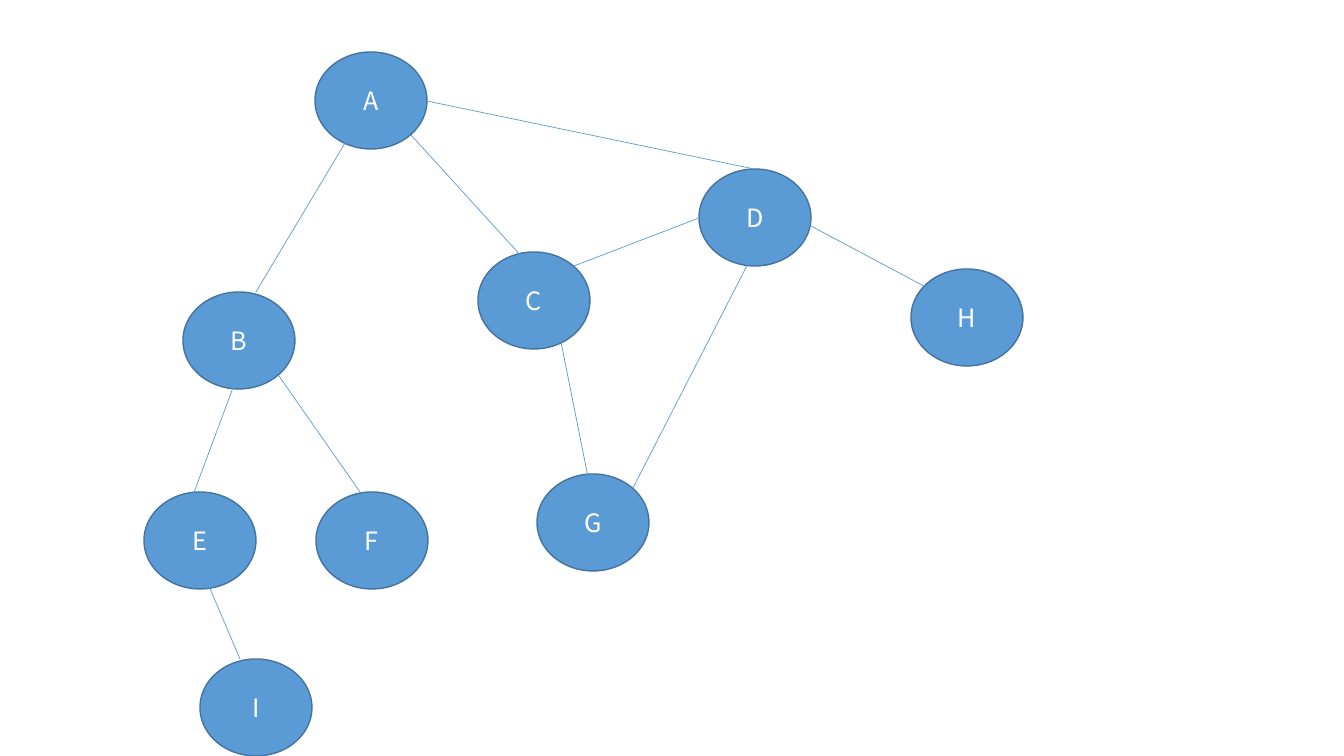
from lxml.etree import SubElement
from pptx import Presentation
from pptx.dml.color import RGBColor
from pptx.enum.shapes import MSO_CONNECTOR, MSO_SHAPE
from pptx.enum.text import MSO_ANCHOR, PP_ALIGN
from pptx.oxml.ns import qn
from pptx.util import Pt

NODE_BLUE = RGBColor(0x5B, 0x9B, 0xD5)
OUTLINE_BLUE = RGBColor(0x43, 0x73, 0x9E)
WHITE = RGBColor(0xFF, 0xFF, 0xFF)
FONT = "Noto Sans CJK SC"

# Left and top of each node, in pixels
NODES = {
    "A": (315, 52),
    "I": (200, 659),
    "E": (144, 492),
    "G": (537, 474),
    "B": (183, 292),
    "D": (699, 169),
    "C": (478, 252),
    "F": (316, 492),
    "H": (911, 269),
}
NODE_WIDTH, NODE_HEIGHT = 112, 97

# Start and end point of the edge between two nodes, in pixels
EDGES = {
    "AB": (348, 138, 256, 292),
    "AC": (411, 135, 533, 269),
    "DA": (754, 169, 427, 101),
    "BE": (240, 369, 183, 522),
    "BF": (279, 376, 360, 492),
    "CG": (560, 337, 591, 492),
    "DC": (699, 218, 574, 266),
    "DG": (754, 252, 633, 488),
    "EI": (200, 565, 240, 659),
    "DH": (796, 218, 935, 292),
}


def px(*lengths):
    """Turn pixel lengths into EMU."""
    return [round(length * 914400 / 100.8) for length in lengths]


def add_node(slide, label, left, top):
    """Draw one labelled node of the graph."""
    node = slide.shapes.add_shape(
        MSO_SHAPE.OVAL, *px(left, top, NODE_WIDTH, NODE_HEIGHT))
    node.shadow.inherit = False
    node.fill.solid()
    node.fill.fore_color.rgb = NODE_BLUE
    node.line.color.rgb = OUTLINE_BLUE
    node.line.width = Pt(1)
    frame = node.text_frame
    frame.text = label
    frame.vertical_anchor = MSO_ANCHOR.MIDDLE
    paragraph = frame.paragraphs[0]
    paragraph.alignment = PP_ALIGN.CENTER
    font = paragraph.runs[0].font
    font.name, font.size = FONT, Pt(18)
    font.color.rgb = WHITE


def add_edge(slide, ends):
    """Draw one thin edge without a shadow."""
    edge = slide.shapes.add_connector(MSO_CONNECTOR.STRAIGHT, *px(*ends))
    edge.line.color.rgb = NODE_BLUE
    edge.line.width = Pt(0.5)
    SubElement(edge._element.spPr, qn("a:effectLst"))


presentation = Presentation()
presentation.slide_width, presentation.slide_height = px(1344, 756)
graph_slide = presentation.slides.add_slide(presentation.slide_layouts[6])
for label, (left, top) in NODES.items():
    add_node(graph_slide, label, left, top)
for ends in EDGES.values():
    add_edge(graph_slide, ends)
presentation.save("out.pptx")
